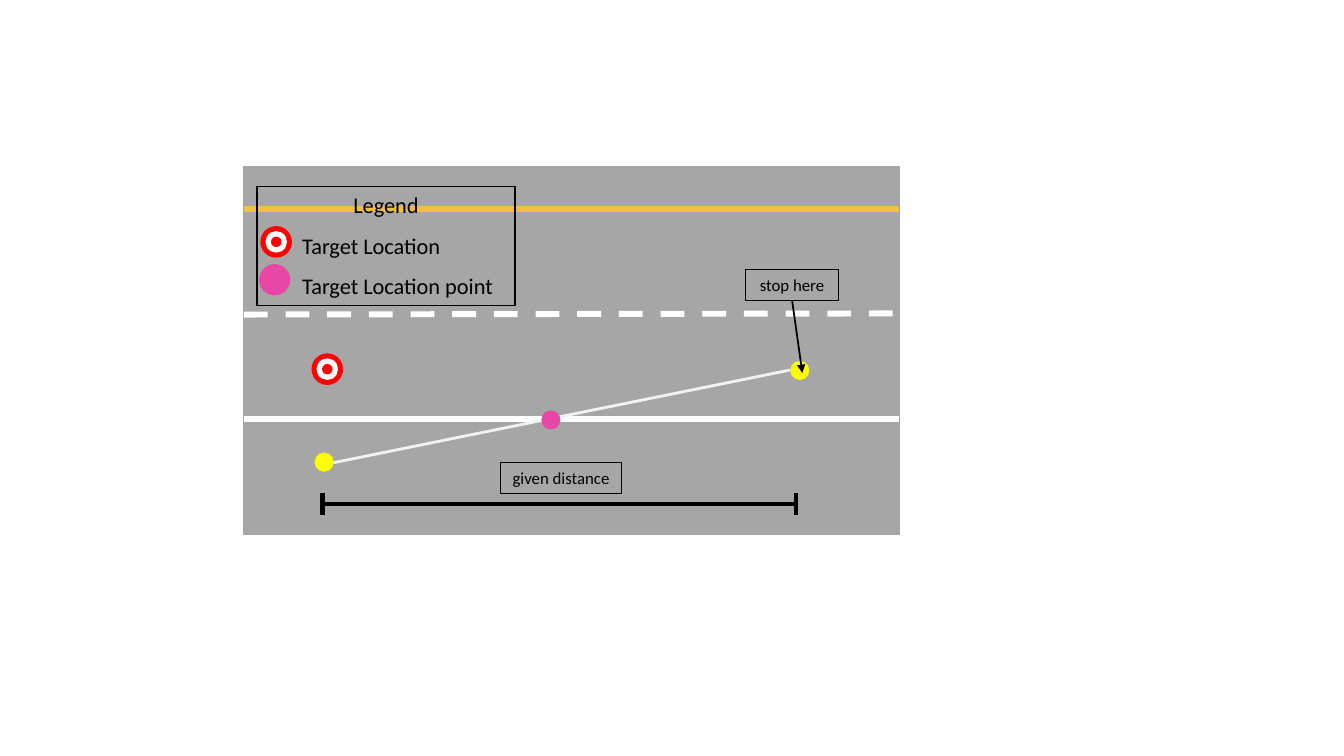
from typing import NamedTuple

from pptx import Presentation
from pptx.dml.color import RGBColor
from pptx.enum.dml import MSO_LINE
from pptx.enum.shapes import MSO_CONNECTOR, MSO_SHAPE
from pptx.enum.text import MSO_ANCHOR, PP_ALIGN
from pptx.oxml.ns import qn
from pptx.util import Pt
from lxml.etree import SubElement

BLACK, WHITE, RED = "000000", "FFFFFF", "FF0000"
GREY, YELLOW, PINK = "A6A6A6", "FFFF00", "E947A7"
ROAD_LEFT, ROAD_TOP, ROAD_WIDTH, ROAD_HEIGHT = 174.24, 118.8, 468, 262.8
ROAD_RIGHT = ROAD_LEFT + ROAD_WIDTH
DOT = 13.68
ITEM_INDENT = 25.2


class Box(NamedTuple):
    left: float
    top: float
    width: float
    height: float


class Stroke(NamedTuple):
    x1: float
    y1: float
    x2: float
    y2: float
    color: str
    width: float


class Dot(NamedTuple):
    x: float
    y: float
    size: float
    color: str


class Label(NamedTuple):
    text: str
    box: Box


def rgb(color: str) -> RGBColor:
    return RGBColor.from_string(color)


def add_preset(shapes, preset, box: Box, fill: str | None = None,
               outline: str | None = None, outline_width: float = 1):
    shape = shapes.add_shape(preset, *map(Pt, box))
    shape.shadow.inherit = False
    if fill:
        shape.fill.solid()
        shape.fill.fore_color.rgb = rgb(fill)
    else:
        shape.fill.background()
    if outline:
        shape.line.color.rgb = rgb(outline)
        shape.line.width = Pt(outline_width)
    else:
        shape.line.fill.background()
    return shape


def add_stroke(shapes, stroke: Stroke):
    ends = map(Pt, stroke[:4])
    connector = shapes.add_connector(MSO_CONNECTOR.STRAIGHT, *ends)
    connector.line.color.rgb = rgb(stroke.color)
    connector.line.width = Pt(stroke.width)
    SubElement(connector._element.spPr, qn("a:effectLst"))
    return connector


def add_dot(shapes, dot: Dot, outline: str | None = None) -> None:
    """Draw a circle around its centre."""
    box = Box(dot.x - dot.size / 2, dot.y - dot.size / 2, dot.size, dot.size)
    add_preset(shapes, MSO_SHAPE.OVAL, box, dot.color, outline)


def add_target(shapes, x: float, y: float) -> None:
    rings = shapes.add_group_shape().shapes
    for size, color in ((21.6, RED), (14.4, WHITE), (6.5, RED)):
        add_dot(rings, Dot(x, y, size, color), color)


def style_paragraph(paragraph, size: float, align=PP_ALIGN.CENTER) -> None:
    paragraph.alignment = align
    paragraph.font.name = "Calibri"
    paragraph.font.size = Pt(size)
    paragraph.font.color.rgb = rgb(BLACK)


def add_label(shapes, label: Label, size: float):
    """Draw a thin black frame holding one centred line of text."""
    frame = add_preset(shapes, MSO_SHAPE.RECTANGLE, label.box, None, BLACK, 0.75)
    text_frame = frame.text_frame
    text_frame.word_wrap = True
    text_frame.vertical_anchor = MSO_ANCHOR.TOP
    text_frame.text = label.text
    style_paragraph(text_frame.paragraphs[0], size)
    return frame


def add_legend(shapes) -> None:
    legend = add_label(shapes, Label("Legend", Box(183.6, 133.2, 184.3, 85.2)), 16)
    for name in ("Target Location", "Target Location point"):
        item = legend.text_frame.add_paragraph()
        item.text = name
        item.line_spacing = 1.5
        item._p.get_or_add_pPr().set("marL", str(Pt(ITEM_INDENT)))
        style_paragraph(item, 16, PP_ALIGN.LEFT)
    add_target(shapes, 197.3, 172.8)
    add_dot(shapes, Dot(196.2, 199.8, 22.3, PINK))


def add_distance_bar(shapes, left: float, right: float, y: float) -> None:
    bar = shapes.add_group_shape().shapes
    add_stroke(bar, Stroke(left, y, right, y, BLACK, 3))
    for x in (left, right):
        add_stroke(bar, Stroke(x, y - 8, x, y + 8, BLACK, 3))


def main() -> None:
    prs = Presentation()
    prs.slide_width, prs.slide_height = Pt(960), Pt(540)
    shapes = prs.slides.add_slide(prs.slide_layouts[6]).shapes

    road = Box(ROAD_LEFT, ROAD_TOP, ROAD_WIDTH, ROAD_HEIGHT)
    add_preset(shapes, MSO_SHAPE.RECTANGLE, road, GREY, GREY)
    add_stroke(shapes, Stroke(ROAD_LEFT, 149, ROAD_RIGHT, 149, "F3BF3D", 4.25))
    add_stroke(shapes, Stroke(ROAD_LEFT, 299.5, ROAD_RIGHT, 299.5, WHITE, 4.25))
    lane_divider = add_stroke(
        shapes, Stroke(ROAD_LEFT, 224.7, ROAD_RIGHT, 223.9, WHITE, 4.25))
    lane_divider.line.dash_style = MSO_LINE.DASH

    add_target(shapes, 233.8, 263.7)
    for path_end in (Dot(571.3, 264.6, DOT, YELLOW), Dot(231.5, 330.1, DOT, YELLOW)):
        add_dot(shapes, path_end)
    add_stroke(shapes, Stroke(238.3, 330.5, 564.5, 264.3, "F2F2F2", 2))
    add_dot(shapes, Dot(393.5, 299.9, DOT, PINK))

    add_legend(shapes)
    add_distance_bar(shapes, 230.4, 568.6, 360)
    add_label(shapes, Label("given distance", Box(357.8, 330.4, 86, 21.8)), 12)

    stop = add_label(shapes, Label("stop here", Box(532.6, 192.8, 66.4, 21.8)), 12)
    pointer = add_stroke(shapes, Stroke(565.8, 214.6, 573.1, 266.4, BLACK, 1.25))
    pointer.begin_connect(stop, 2)
    SubElement(pointer.line._get_or_add_ln(), qn("a:tailEnd"), type="triangle")

    prs.save("out.pptx")


if __name__ == "__main__":
    main()
